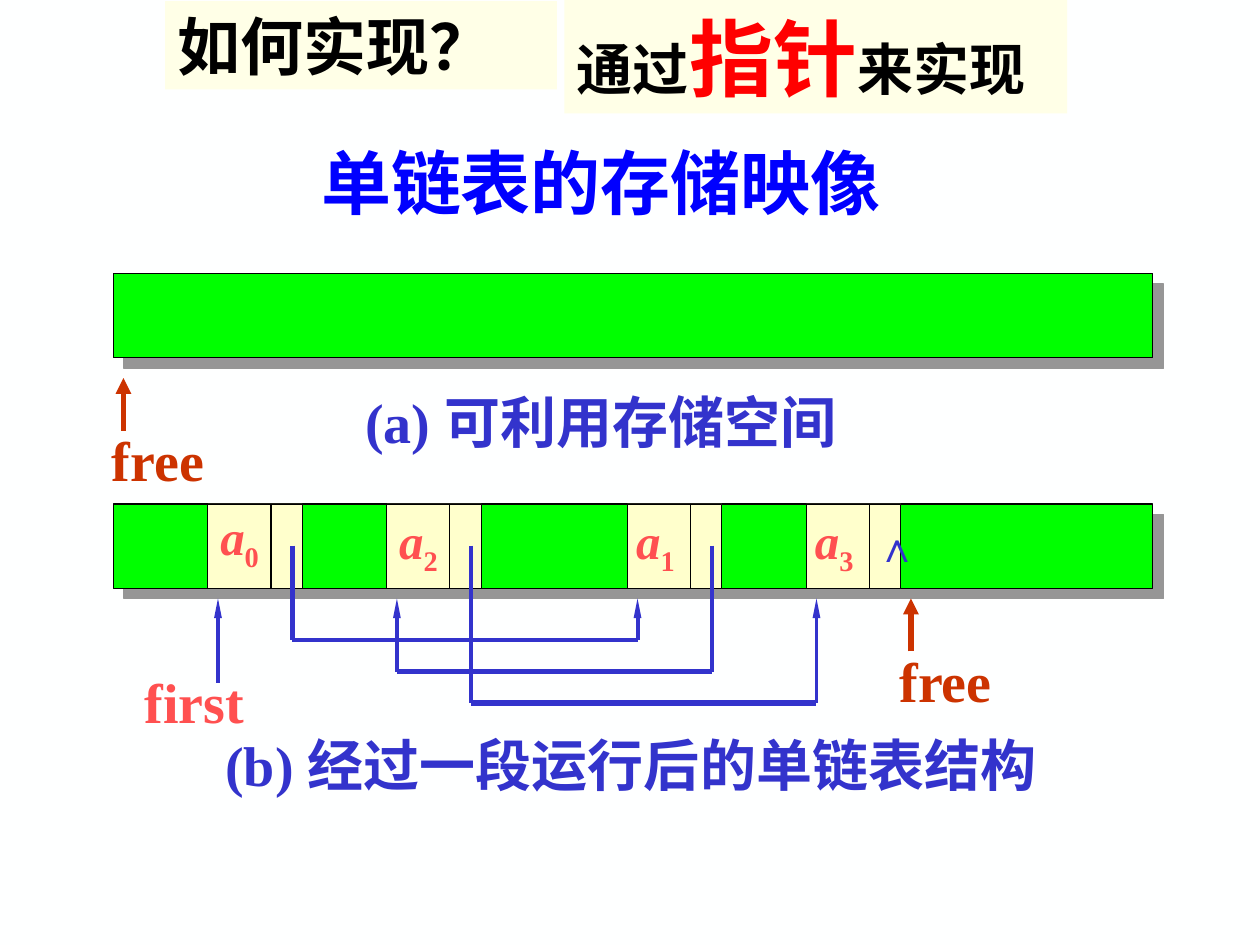
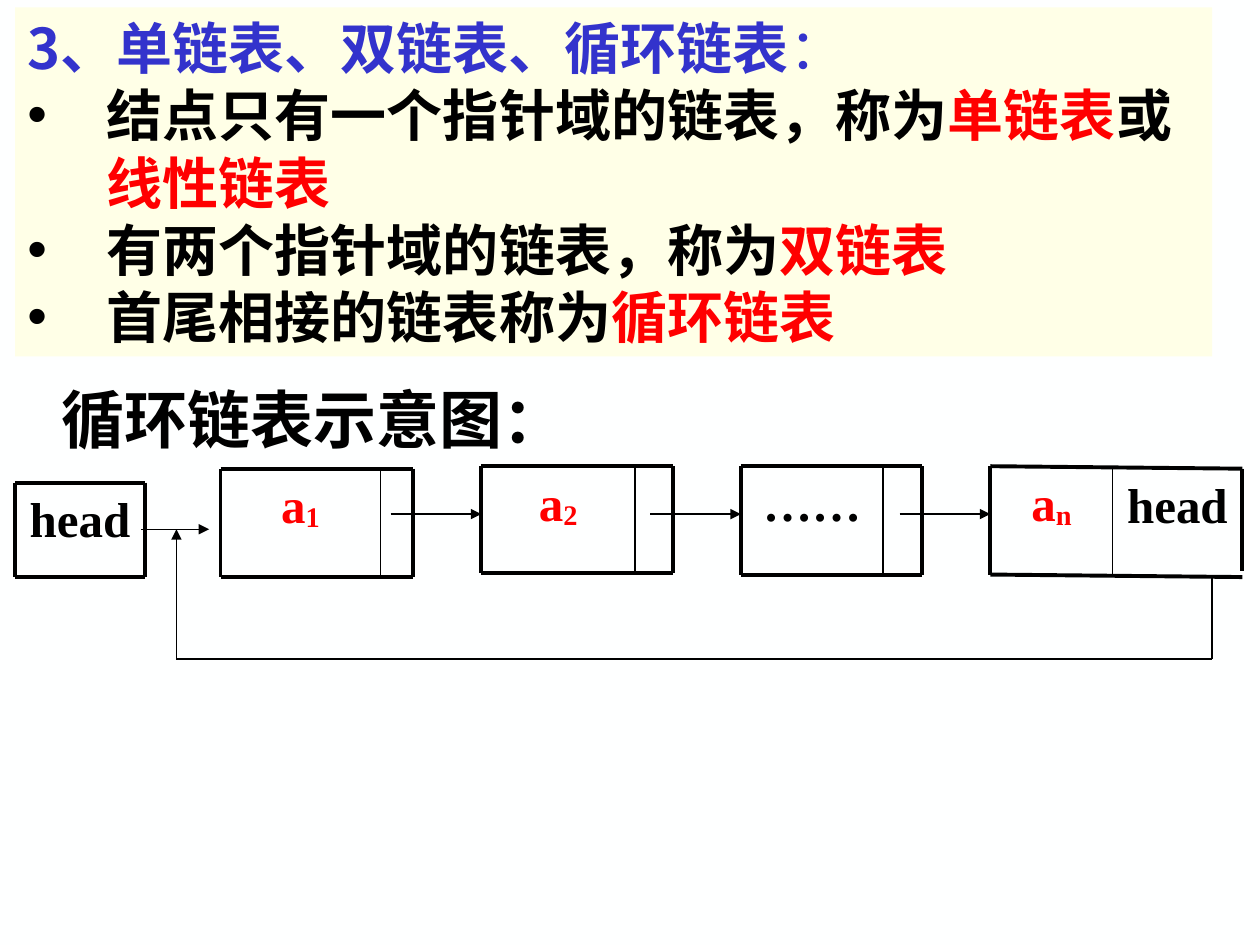
from lxml.etree import SubElement
from pptx import Presentation
from pptx.dml.color import RGBColor
from pptx.enum.shapes import MSO_CONNECTOR as Connector, MSO_SHAPE as Shape
from pptx.enum.text import MSO_ANCHOR as Anchor, MSO_AUTO_SIZE as AutoSize, PP_ALIGN as Align
from pptx.oxml.ns import qn
from pptx.util import Inches, Pt

SERIF, SANS = "Times New Roman", "Noto Sans CJK SC"
BLACK, RED, BLUE, CORAL, RUST = "000000", "FF0000", "3333CC", "FF5050", "CC3300"
TITLE_BLUE, GREEN, CREAM, IVORY = "0000FF", "00FF00", "FFFFCC", "FFFFE7"
PAPER, SHADE = "FEFFFF", "969696"
NODE_WIDTH, DATA_WIDTH = 0.75, 0.5
BAR_LEFT, BAR_WIDTH, BAR_HEIGHT = 0.9, 8.25, 0.67
WIDE_HEAD = {"type": "triangle"}
SLIM_HEAD = {"type": "triangle", "w": "sm", "len": "lg"}


def colour(value):
    return RGBColor.from_string(value)


def new_slide(deck):
    slide = deck.slides.add_slide(deck.slide_layouts[6])
    slide.background.fill.solid()
    slide.background.fill.fore_color.rgb = colour(PAPER)
    return slide


def add_rect(slide, left, top, width, height, fill, line=None, weight=0.75):
    rect = slide.shapes.add_shape(Shape.RECTANGLE, Inches(left), Inches(top),
                                  Inches(width), Inches(height))
    rect.shadow.inherit = False
    rect.fill.solid()
    rect.fill.fore_color.rgb = colour(fill)
    if line:
        rect.line.color.rgb = colour(line)
        rect.line.width = Pt(weight)
    else:
        rect.line.fill.background()
    return rect


def add_line(slide, start, end, line=BLACK, weight=0.75, head=None):
    points = [Inches(value) for value in (*start, *end)]
    connector = slide.shapes.add_connector(Connector.STRAIGHT, *points)
    connector.line.color.rgb = colour(line)
    connector.line.width = Pt(weight)
    if head:
        outline = connector._element.spPr.find(qn("a:ln"))
        SubElement(outline, qn("a:tailEnd"), **head)
    SubElement(connector._element.spPr, qn("a:effectLst"))


def write(para, parts, size, font=SERIF, align=Align.LEFT, before=0):
    para.alignment = align
    para.space_before = Pt(before)
    for text, tint, *extra in parts:
        options = extra[0] if extra else {}
        span = para.add_run()
        span.text = text
        span.font.size = Pt(options.get("size", size))
        span.font.name = options.get("font", font)
        span.font.bold = options.get("bold", True)
        span.font.italic = options.get("italic", False)
        span.font.color.rgb = colour(tint)
        properties = span.font._element
        SubElement(properties, qn("a:ea"), typeface=SANS)
        if "baseline" in options:
            properties.set("baseline", str(options["baseline"] * 1000))


def add_text(slide, left, top, width, height, parts, size, wrap=False, **style):
    box = slide.shapes.add_textbox(Inches(left), Inches(top), Inches(width), Inches(height))
    frame = box.text_frame
    frame.word_wrap = wrap
    frame.auto_size = AutoSize.NONE if wrap else AutoSize.SHAPE_TO_FIT_TEXT
    write(frame.paragraphs[0], parts, size, **style)


def add_panel(slide, left, top, width, height):
    panel = add_rect(slide, left, top, width, height, IVORY)
    frame = panel.text_frame
    frame.word_wrap = True
    frame.vertical_anchor = Anchor.TOP
    return frame


def add_memory_bar(slide, top):
    bar = add_rect(slide, BAR_LEFT, top, BAR_WIDTH, BAR_HEIGHT, GREEN, BLACK)
    effects = bar._element.spPr.find(qn("a:effectLst"))
    shadow = SubElement(effects, qn("a:outerShdw"), dist=str(Pt(8.5)),
                        dir="2700000", algn="ctr", rotWithShape="0")
    SubElement(shadow, qn("a:srgbClr"), val=SHADE)


def add_free_pointer(slide, x, top):
    add_line(slide, (x, top + 0.42), (x, top), RUST, 3, WIDE_HEAD)
    add_text(slide, x - 0.19, top + 0.33, 0.94, 0.64, [("free", RUST)], 32)


def add_memory_node(slide, left, top, index, shift, lift):
    add_rect(slide, left, top, NODE_WIDTH, BAR_HEIGHT, CREAM, BLACK, 0.5)
    divider = left + DATA_WIDTH
    add_line(slide, (divider, top), (divider, top + BAR_HEIGHT))
    label = [("a", CORAL, {"italic": True}), (index, CORAL, {"baseline": -25})]
    add_text(slide, left - shift, top - lift, 0.53, 0.63, label, 28, wrap=True)


def add_used_memory(slide, top):
    add_memory_bar(slide, top)
    nodes = {"0": (1.65, 0, 0.03), "2": (3.07, 0, 0),
             "1": (4.98, 0.03, 0), "3": (6.4, 0.03, 0)}
    for index, (left, shift, lift) in nodes.items():
        add_memory_node(slide, left, top, index, shift, lift)
    add_text(slide, 6.86, top + 0.08, 0.31, 0.5, [("∧", BLUE)], 24, font="Arial")

    tip = top + 0.75
    first_x = nodes["0"][0] + 0.08
    add_line(slide, (first_x, top + 1.42), (first_x, tip), BLUE, 2.25, SLIM_HEAD)
    add_text(slide, first_x - 0.68, top + 1.25, 0.99, 0.64, [("first", CORAL)], 32)
    add_free_pointer(slide, 7.23, tip)

    routes = [("0", "1", 3, 2.25), ("1", "2", 2.25, 3), ("2", "3", 2.25, 3)]
    for step, (source, target, down_weight, across_weight) in enumerate(routes):
        start_x, end_x = nodes[source][0] + 0.67, nodes[target][0] + 0.08
        depth = top + 1.08 + 0.25 * step
        add_line(slide, (start_x, top + 0.33), (start_x, depth), BLUE, down_weight)
        add_line(slide, (start_x, depth), (end_x, depth), BLUE, across_weight)
        add_line(slide, (end_x, depth), (end_x, tip), BLUE, 2.25, SLIM_HEAD)


def build_storage_slide(deck):
    slide = new_slide(deck)
    question = add_panel(slide, 1.31, 0.01, 3.11, 0.7)
    write(question.paragraphs[0], [("如何实现？", BLACK)], 36)
    answer = add_panel(slide, 4.48, 0, 3.99, 0.9)
    parts = [("通过", BLACK), ("指针", RED, {"size": 48}), ("来实现", BLACK)]
    write(answer.paragraphs[0], parts, 32)
    add_text(slide, 2.45, 1.06, 4.65, 0.77, [("单链表的存储映像", TITLE_BLUE)], 40)
    add_memory_bar(slide, 2.17)
    add_free_pointer(slide, 0.98, 3)
    add_text(slide, 2.8, 3.03, 4.05, 0.64, [("(a) 可利用存储空间", BLUE)], 32)
    add_used_memory(slide, 4)
    caption = [("(b) ", BLUE), ("经过一段运行后的单链表结构", BLUE, {"font": SANS})]
    add_text(slide, 1.69, 5.75, 6.74, 0.64, caption, 32)


def add_outline(slide, left, top, width, height, skew=0):
    right, bottom = left + width, top + height
    for y in (top, bottom):
        add_line(slide, (left, y), (right, y + skew), weight=2.25)
    add_line(slide, (left, top), (left, bottom), weight=2.25)
    add_line(slide, (right, top + skew), (right, bottom - 1.5 * skew), weight=2.25)


def add_cell_text(slide, left, top, width, height, parts):
    add_text(slide, left, top, width, height, parts, 28, wrap=True,
             align=Align.CENTER, before=7)


def add_list_node(slide, left, top, width, data_width, height, skew, parts):
    add_cell_text(slide, left, top, data_width, height, parts)
    add_outline(slide, left, top, width, height, skew)
    divider = left + data_width
    add_line(slide, (divider, top + skew), (divider, top + height + skew), weight=1)


def add_circular_list(slide, top):
    head_label = [("head", BLACK)]
    add_cell_text(slide, 0.12, top + 0.13, 1.03, 0.75, head_label)
    add_outline(slide, 0.12, top + 0.13, 1.03, 0.75)
    add_line(slide, (1.12, top + 0.5), (1.66, top + 0.5), head=WIDE_HEAD)

    def element(index):
        return [("a", RED), (index, RED, {"baseline": -8})]

    nodes = [(1.75, 0.02, 1.53, 1.27, 0.86, 0, element("1")),
             (3.82, 0, 1.52, 1.22, 0.85, 0, element("2")),
             (5.88, 0, 1.44, 1.13, 0.86, 0, [("……", BLACK)]),
             (7.86, 0, 2, 0.97, 0.86, 0.02, element("n"))]
    for left, drop, *rest in nodes:
        add_list_node(slide, left, top + drop, *rest)
    for end_x, *_ in nodes[1:]:
        add_line(slide, (end_x - 0.72, top + 0.38), (end_x, top + 0.38), head=WIDE_HEAD)
    add_cell_text(slide, 8.83, top + 0.02, 1.03, 0.75, head_label)

    corners = [(9.62, top + 0.88), (9.62, top + 1.53), (1.4, top + 1.53), (1.4, top + 0.5)]
    for start, end in zip(corners, corners[1:]):
        add_line(slide, start, end, head=WIDE_HEAD if end == corners[-1] else None)


def add_definitions(slide, left, top, width, height):
    frame = add_panel(slide, left, top, width, height)
    heading = [("3、单链表、双链表、循环链表", BLUE), ("：", BLUE, {"bold": False})]
    items = [
        [("结点只有一个指针域的链表，称为", BLACK), ("单链表", RED), ("或", BLACK), ("线性链表", RED)],
        [("有两个指针域的链表，称为", BLACK), ("双链表", RED)],
        [("首尾相接的链表称为", BLACK), ("循环链表", RED)],
    ]
    write(frame.paragraphs[0], heading, 32, font=SANS)
    for item in items:
        para = frame.add_paragraph()
        write(para, item, 32, font=SANS)
        properties = para._p.get_or_add_pPr()
        tint = SubElement(properties, qn("a:buClr"))
        SubElement(tint, qn("a:srgbClr"), val=BLACK)
        SubElement(properties, qn("a:buFont"), typeface="Arial")
        SubElement(properties, qn("a:buChar"), char="•")
    for para in frame.paragraphs:
        properties = para._p.get_or_add_pPr()
        properties.set("marL", str(Inches(0.63)))
        properties.set("indent", str(-Inches(0.63)))


def build_circular_slide(deck):
    slide = new_slide(deck)
    add_circular_list(slide, 3.7)
    add_text(slide, 0.39, 2.97, 6.03, 0.7, [("循环链表示意图：", BLACK)], 36,
             wrap=True, font=SANS, before=22.5)
    add_definitions(slide, 0.12, 0.06, 9.5, 2.77)


def main():
    deck = Presentation()
    deck.slide_width, deck.slide_height = Inches(10), Inches(7.5)
    build_storage_slide(deck)
    build_circular_slide(deck)
    deck.save("out.pptx")


if __name__ == "__main__":
    main()
